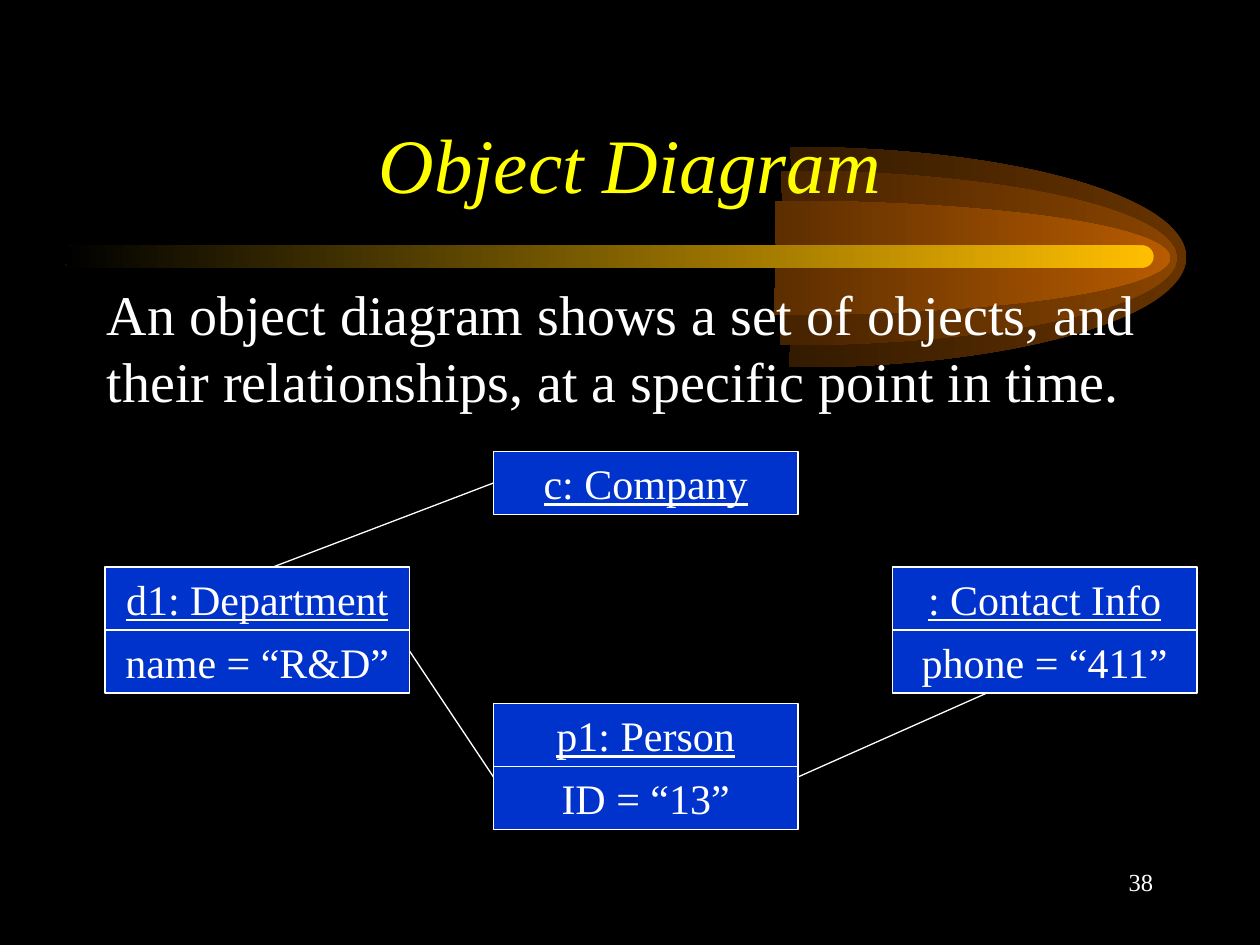
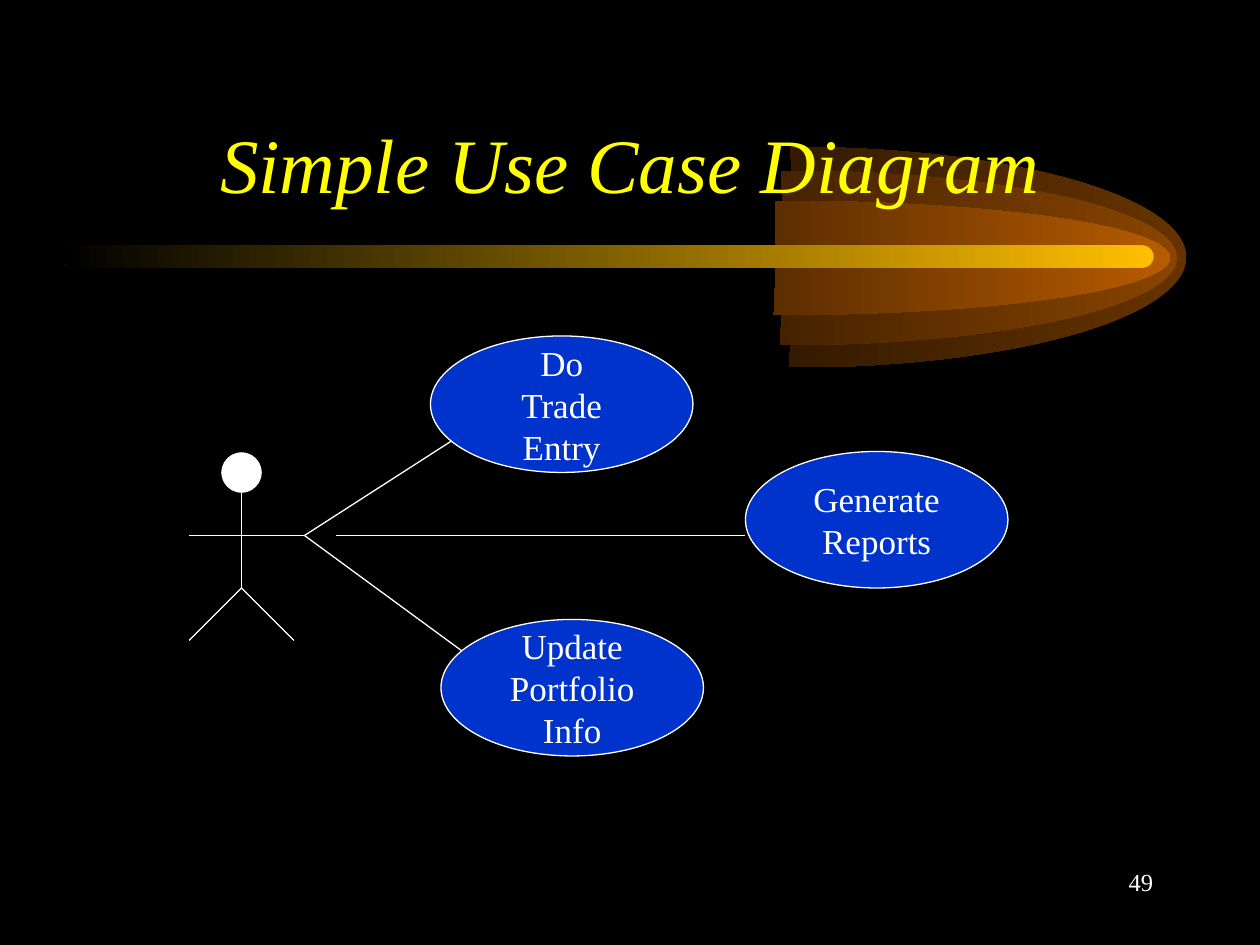
from dataclasses import dataclass
from math import cos, pi, sin, tan

from lxml.etree import SubElement
from pptx import Presentation
from pptx.dml.color import RGBColor
from pptx.enum.shapes import MSO_CONNECTOR as CONN, MSO_SHAPE as SHAPE
from pptx.enum.text import MSO_ANCHOR as ANCHOR, PP_ALIGN as ALIGN
from pptx.oxml.ns import qn
from pptx.util import Pt

PX = 9525  # EMU in one px, 96 px to the inch
FONT = "Times New Roman"

BLACK = RGBColor(0x00, 0x00, 0x00)
WHITE = RGBColor(0xFF, 0xFF, 0xFF)
YELLOW = RGBColor(0xFF, 0xFF, 0x00)
BLUE = RGBColor(0x00, 0x33, 0xCC)
GOLD = RGBColor(0xFF, 0xBF, 0x00)
DARK_BROWN = RGBColor(0x66, 0x33, 0x00)
BROWN = RGBColor(0x89, 0x44, 0x00)
ORANGE = RGBColor(0xB7, 0x5B, 0x00)


@dataclass(frozen=True)
class Box:
    x: int
    y: int
    w: int
    h: int

    def emu(self) -> list[int]:
        return [v * PX for v in (self.x, self.y, self.w, self.h)]


@dataclass(frozen=True)
class Style:
    size: int
    color: RGBColor = WHITE
    align: ALIGN = ALIGN.CENTER
    italic: bool = False
    underline: bool = False
    before: int = 0


@dataclass(frozen=True)
class CometTail:
    box: Box
    color: RGBColor


@dataclass(frozen=True)
class UmlObject:
    x: int
    y: int
    name: str
    attribute: str = ""


@dataclass(frozen=True)
class UseCase:
    x: int
    y: int
    words: tuple[str, ...]


@dataclass(frozen=True)
class Link:
    x1: int
    y1: int
    x2: int
    y2: int


# Shared styles and places
TITLE = Style(44, YELLOW, italic=True)
BODY = Style(32, align=ALIGN.LEFT, before=8)
NUMBER = Style(14, align=ALIGN.RIGHT)
NAME = Style(24, underline=True)
ATTRIBUTE = Style(24)
CASE = Style(20)

TITLE_BOX = Box(72, 64, 816, 120)
BODY_BOX = Box(72, 208, 816, 432)
NUMBER_BOX = Box(688, 656, 200, 48)
BAR = Box(48, 187, 831, 17)
ROW_W, ROW_H = 232, 48
CASE_W, CASE_H = 200, 104

# Each tail is the right half of an ellipse that fills its box
TAIL_CURVES = 3
COMET = [
    CometTail(Box(303, 112, 601, 168), DARK_BROWN),
    CometTail(Box(296, 130, 601, 133), BROWN),
    CometTail(Box(291, 153, 601, 87), ORANGE),
]

# Object diagram
OBJECTS = [
    UmlObject(376, 344, "c: Company"),
    UmlObject(80, 432, "d1: Department", "name = “R&D”"),
    UmlObject(376, 536, "p1: Person", "ID = “13”"),
    UmlObject(680, 432, ": Contact Info", "phone = “411”"),
]
OBJECT_LINKS = [
    Link(208, 432, 376, 368),
    Link(312, 496, 376, 592),
    Link(608, 592, 752, 528),
]

# Use case diagram
USE_CASES = [
    UseCase(328, 256, ("Do", "Trade", "Entry")),
    UseCase(568, 344, ("Generate", "Reports")),
    UseCase(336, 472, ("Update", "Portfolio", "Info")),
]
ACTOR_HEAD = Box(168, 344, 32, 32)
ACTOR_LIMBS = [
    Link(184, 376, 184, 448),
    Link(144, 408, 232, 408),
    Link(184, 448, 144, 488),
    Link(184, 448, 224, 488),
]
CASE_LINKS = [
    Link(232, 408, 344, 336),
    Link(256, 408, 568, 408),
    Link(232, 408, 352, 496),
]


def write(tf, lines: tuple[str, ...], style: Style, anchor: ANCHOR, wrap: bool) -> None:
    tf.word_wrap = wrap
    tf.vertical_anchor = anchor
    for i, line in enumerate(lines):
        p = tf.add_paragraph() if i else tf.paragraphs[0]
        p.alignment = style.align
        p.space_before = Pt(style.before)
        r = p.add_run()
        r.text = line
        r.font.name = FONT
        r.font.size = Pt(style.size)
        r.font.color.rgb = style.color
        r.font.italic = style.italic
        r.font.underline = style.underline


def add_text(s, box: Box, text: str, style: Style, anchor: ANCHOR = ANCHOR.TOP) -> None:
    tb = s.shapes.add_textbox(*box.emu())
    write(tb.text_frame, (text,), style, anchor, True)


def add_node(s, kind: SHAPE, box: Box, fill: RGBColor = BLUE, line: RGBColor = WHITE):
    sp = s.shapes.add_shape(kind, *box.emu())
    sp.shadow.inherit = False
    sp.fill.solid()
    sp.fill.fore_color.rgb = fill
    sp.line.color.rgb = line
    sp.line.width = Pt(0.75)
    return sp


def add_label_node(s, kind: SHAPE, box: Box, lines: tuple[str, ...], style: Style) -> None:
    write(add_node(s, kind, box).text_frame, lines, style, ANCHOR.MIDDLE, False)


def add_links(s, links: list[Link]) -> None:
    for k in links:
        ends = [v * PX for v in (k.x1, k.y1, k.x2, k.y2)]
        cn = s.shapes.add_connector(CONN.STRAIGHT, *ends)
        cn.line.color.rgb = WHITE
        cn.line.width = Pt(0.75)
        SubElement(cn._element.spPr, qn("a:effectLst"))


def fade(sp, color: RGBColor) -> None:
    """Fade a shape from a colour at the right to black at the left."""
    sp.shadow.inherit = False
    sp.line.fill.background()
    sp.fill.gradient()
    sp.fill.gradient_angle = 180
    for stop, rgb in zip(sp.fill.gradient_stops, (color, BLACK)):
        stop.color.rgb = rgb


def add_step(path, tag: str, *points: tuple[float, float]) -> None:
    step = SubElement(path, qn(tag))
    for x, y in points:
        SubElement(step, qn("a:pt"), x=str(round(x)), y=str(round(y)))


def add_tail(s, tail: CometTail) -> None:
    x, y, w, h = tail.box.emu()
    fb = s.shapes.build_freeform(x, y)
    fb.add_line_segments([(x + w, y + h)])
    sp = fb.convert_to_shape()
    paths = sp._element.spPr.find(".//" + qn("a:pathLst"))
    paths.clear()

    rx, ry = w / 2, h / 2
    start, end = -0.003, pi + 0.006
    turn = (end - start) / TAIL_CURVES
    pull = 4 / 3 * tan(turn / 4)

    def point(t: float, k: float = 0) -> tuple[float, float]:
        """Point at angle t, moved by k along the tangent."""
        return rx * (1 + sin(t) + k * cos(t)), ry * (1 - cos(t) + k * sin(t))

    # A filled sector, then its open outline
    for filled in (True, False):
        path = SubElement(paths, qn("a:path"), w=str(w), h=str(h))
        add_step(path, "a:moveTo", point(start))
        for i in range(TAIL_CURVES):
            a, b = start + i * turn, start + (i + 1) * turn
            add_step(path, "a:cubicBezTo", point(a, pull), point(b, -pull), point(b))
        if filled:
            path.set("stroke", "0")
            add_step(path, "a:lnTo", (rx, ry))
            add_step(path, "a:close")
        else:
            path.set("fill", "none")
    fade(sp, tail.color)


def add_comet(s) -> None:
    for tail in COMET:
        add_tail(s, tail)
    bar = s.shapes.add_shape(SHAPE.ROUNDED_RECTANGLE, *BAR.emu())
    bar.adjustments[0] = 0.5
    fade(bar, GOLD)


def add_slide(prs, title: str):
    s = prs.slides.add_slide(prs.slide_layouts[6])
    s.background.fill.solid()
    s.background.fill.fore_color.rgb = BLACK
    add_comet(s)
    add_text(s, TITLE_BOX, title, TITLE, ANCHOR.MIDDLE)
    return s


def object_diagram(prs) -> None:
    s = add_slide(prs, "Object Diagram")
    add_text(s, BODY_BOX, "An object diagram shows a set of objects, and their "
             "relationships, at a specific point in time.", BODY)
    for o in OBJECTS:
        add_label_node(s, SHAPE.RECTANGLE, Box(o.x, o.y, ROW_W, ROW_H), (o.name,), NAME)
        if o.attribute:
            row = Box(o.x, o.y + ROW_H, ROW_W, ROW_H)
            add_label_node(s, SHAPE.RECTANGLE, row, (o.attribute,), ATTRIBUTE)
    add_links(s, OBJECT_LINKS)
    add_text(s, NUMBER_BOX, "38", NUMBER)


def use_case_diagram(prs) -> None:
    s = add_slide(prs, "Simple Use Case Diagram")
    for c in USE_CASES:
        add_label_node(s, SHAPE.OVAL, Box(c.x, c.y, CASE_W, CASE_H), c.words, CASE)
    add_node(s, SHAPE.OVAL, ACTOR_HEAD, WHITE, BLACK)
    add_links(s, ACTOR_LIMBS + CASE_LINKS)
    add_text(s, NUMBER_BOX, "49", NUMBER)


def main() -> None:
    prs = Presentation()
    prs.slide_width, prs.slide_height = 960 * PX, 720 * PX
    object_diagram(prs)
    use_case_diagram(prs)
    prs.save("out.pptx")


if __name__ == "__main__":
    main()
